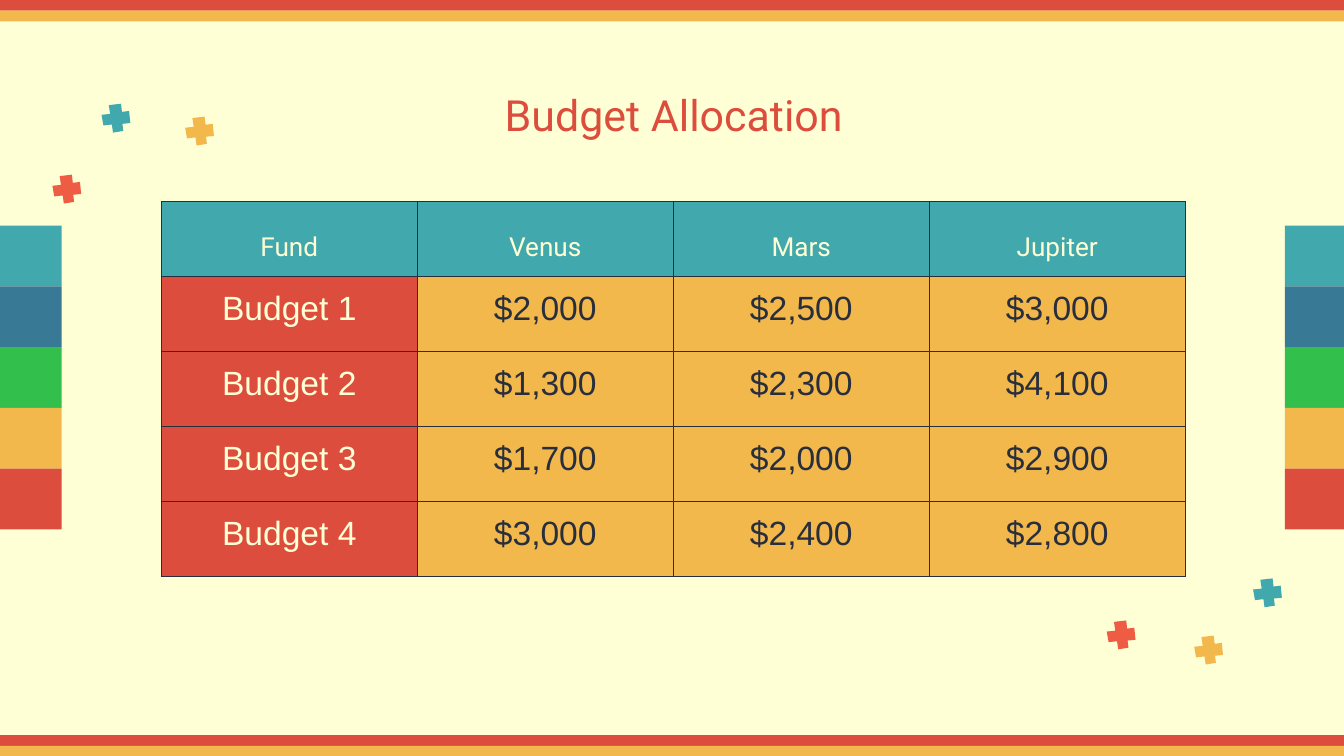
from lxml.etree import SubElement
from pptx import Presentation
from pptx.dml.color import RGBColor
from pptx.enum.shapes import MSO_SHAPE as Shape
from pptx.enum.text import MSO_ANCHOR as Anchor, PP_ALIGN as Align
from pptx.oxml.ns import qn
from pptx.util import Inches, Pt

CREAM = RGBColor(0xFF, 0xFF, 0xD6)
RED = RGBColor(0xDD, 0x4D, 0x3E)
CORAL = RGBColor(0xEF, 0x5C, 0x44)
YELLOW = RGBColor(0xF2, 0xB8, 0x4C)
GREEN = RGBColor(0x33, 0xBF, 0x4B)
BLUE = RGBColor(0x38, 0x79, 0x95)
TEAL = RGBColor(0x41, 0xA9, 0xAD)
NAVY = RGBColor(0x29, 0x2E, 0x3D)


def paint(shape, color):
    shape.shadow.inherit = False
    shape.fill.solid()
    shape.fill.fore_color.rgb = color
    shape.line.fill.background()


def write(holder, frame, text, font_name, size, color):
    frame.text = text
    paragraph = frame.paragraphs[0]
    paragraph.alignment = Align.CENTER
    font = paragraph.runs[0].font
    font.name, font.size, font.color.rgb = font_name, Pt(size), color
    holder.margin_left = holder.margin_right = Inches(0.1)
    holder.margin_top = holder.margin_bottom = Inches(0.1)


# Slide in 16:9
prs = Presentation()
prs.slide_width = Inches(10)
prs.slide_height = prs.slide_width * 9 // 16
slide = prs.slides.add_slide(prs.slide_layouts[6])
slide.background.fill.solid()
slide.background.fill.fore_color.rgb = CREAM

# Stripes along the bottom and top edges
for edge in (5.47, 0):
    for i, color in enumerate((RED, YELLOW)):
        stripe = slide.shapes.add_shape(
            Shape.RECTANGLE, 0, Inches(edge + i * 0.08), Inches(10), Inches(0.08))
        paint(stripe, color)

# Colour blocks at both sides
block_height = Inches(2.26) // 5
for left in (0, 9.56):
    for i, color in enumerate((TEAL, BLUE, GREEN, YELLOW, RED)):
        block = slide.shapes.add_shape(
            Shape.RECTANGLE, Inches(left), Inches(1.68) + i * block_height,
            Inches(0.46), block_height)
        paint(block, color)

# Title
title = slide.shapes.add_textbox(Inches(0.79), Inches(0.56), Inches(8.45), Inches(0.63))
heading = title.text_frame
write(heading, heading, "Budget Allocation", "Roboto", 23, RED)
heading.word_wrap = True
heading.vertical_anchor = Anchor.TOP

# Budget table
budget = [
    ("Fund", "Venus", "Mars", "Jupiter"),
    ("Budget 1", "$2,000", "$2,500", "$3,000"),
    ("Budget 2", "$1,300", "$2,300", "$4,100"),
    ("Budget 3", "$1,700", "$2,000", "$2,900"),
    ("Budget 4", "$3,000", "$2,400", "$2,800"),
]
table = slide.shapes.add_table(
    len(budget), len(budget[0]), Inches(1.2), Inches(1.5), Inches(7.62), Inches(2.79)).table
table.first_row = table.horz_banding = False

for r, values in enumerate(budget):
    for c, value in enumerate(values):
        cell = table.cell(r, c)
        if r == 0:
            style, fill = ("Roboto", 14, CREAM), TEAL
        elif c == 0:
            style, fill = ("Arial", 18, CREAM), RED
        else:
            style, fill = ("Arial", 18, NAVY), YELLOW
        write(cell, cell.text_frame, value, *style)
        cell.vertical_anchor = Anchor.BOTTOM if r == 0 else Anchor.TOP
        # Borders come before the fill in the cell properties
        for side in ("a:lnL", "a:lnR", "a:lnT", "a:lnB"):
            border = SubElement(cell._tc.get_or_add_tcPr(), qn(side), w=str(Pt(0.75)))
            SubElement(SubElement(border, qn("a:solidFill")), qn("a:srgbClr"), val=str(NAVY))
        cell.fill.solid()
        cell.fill.fore_color.rgb = fill

# Tilted plus signs, outlined in thousandths of an inch
PLUS = [(155, 150), (162, 203), (85, 215), (77, 155), (14, 162), (0, 83), (64, 76),
        (54, 11), (145, 0), (152, 61), (205, 54), (214, 144)]
for left, top, color in (
        (390, 1300, CORAL), (756, 772, TEAL), (1378, 868, YELLOW),
        (8235, 4617, CORAL), (9324, 4304, TEAL), (8886, 4730, YELLOW)):
    corners = [(left + x, top + y) for x, y in PLUS]
    outline = slide.shapes.build_freeform(*corners[0], scale=Inches(1) / 1000)
    outline.add_line_segments(corners[1:], close=True)
    paint(outline.convert_to_shape(), color)

prs.save("out.pptx")
